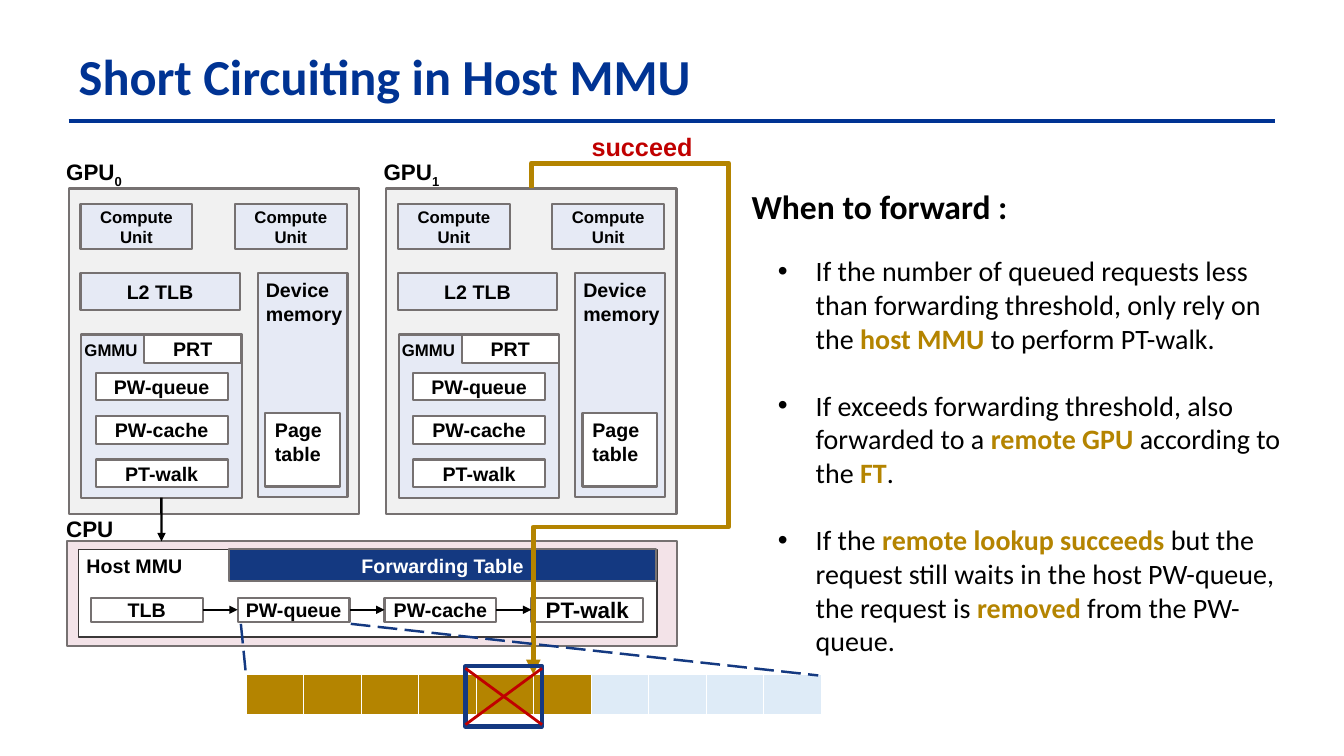
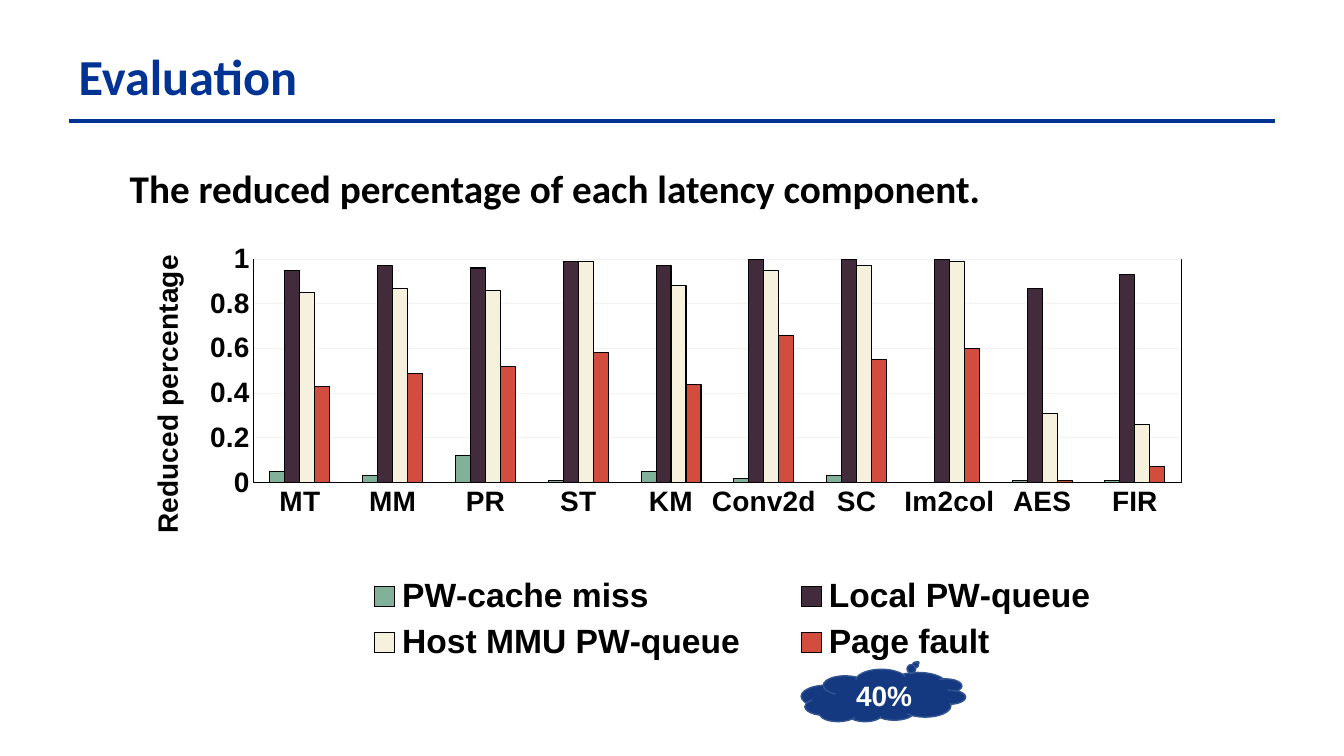
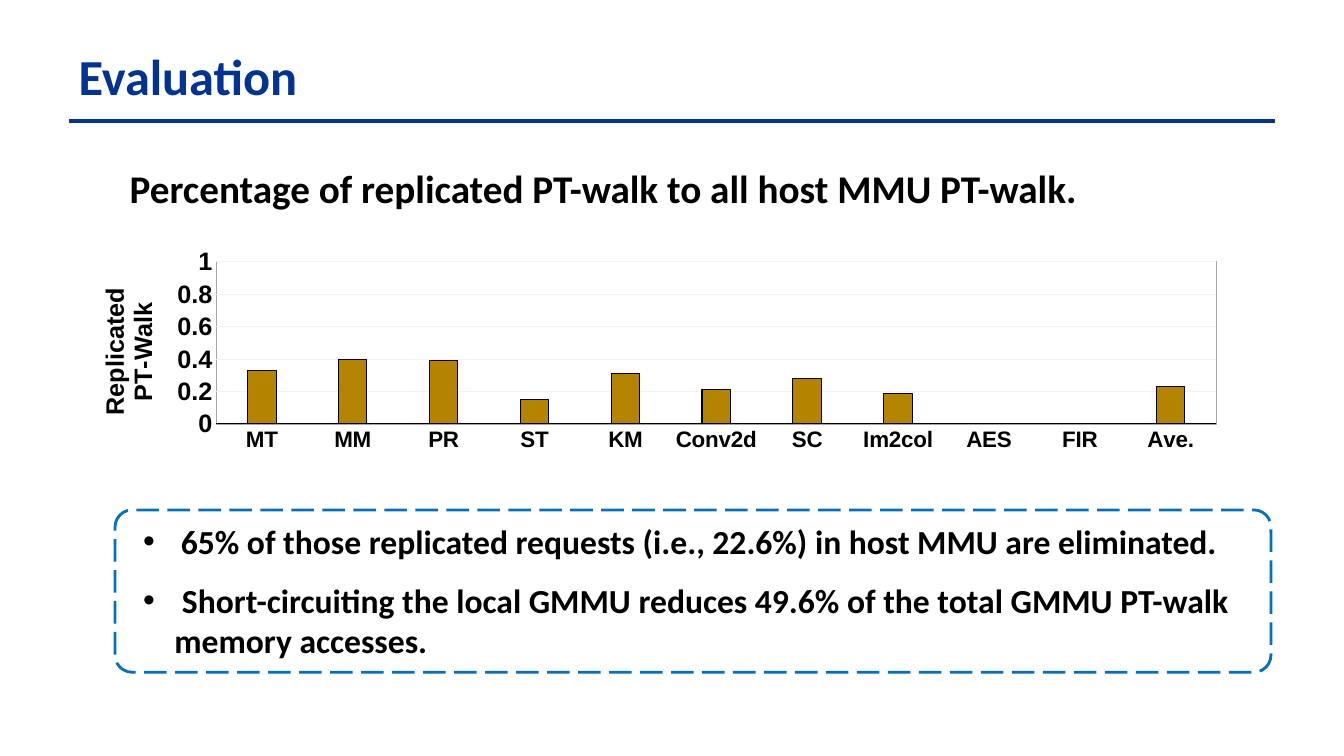
from lxml import etree
from pptx import Presentation
from pptx.chart.data import CategoryChartData
from pptx.dml.color import RGBColor
from pptx.enum.chart import XL_CHART_TYPE, XL_LEGEND_POSITION, XL_TICK_MARK
from pptx.enum.dml import MSO_LINE
from pptx.enum.shapes import MSO_CONNECTOR, MSO_SHAPE
from pptx.enum.text import MSO_ANCHOR, MSO_AUTO_SIZE, PP_ALIGN
from pptx.oxml.ns import qn
from pptx.util import Cm, Pt

RECT, ROUND, CLOUD = MSO_SHAPE.RECTANGLE, MSO_SHAPE.ROUNDED_RECTANGLE, MSO_SHAPE.CLOUD_CALLOUT
STRAIGHT, LONG_DASH = MSO_CONNECTOR.STRAIGHT, MSO_LINE.LONG_DASH
LEFT, CENTER = PP_ALIGN.LEFT, PP_ALIGN.CENTER
TOP, MIDDLE = MSO_ANCHOR.TOP, MSO_ANCHOR.MIDDLE
NO_TICK = XL_TICK_MARK.NONE
COLUMNS, BOTTOM = XL_CHART_TYPE.COLUMN_CLUSTERED, XL_LEGEND_POSITION.BOTTOM
TITLE_AND_BODY, TITLE_ONLY = 1, 5
SIDE_TOP, SIDE_LEFT, SIDE_BOTTOM, SIDE_RIGHT = range(4)

BLACK = RGBColor(0x00, 0x00, 0x00)
WHITE = RGBColor(0xFF, 0xFF, 0xFF)
TITLE_BLUE = RGBColor(0x00, 0x33, 0x93)
NAVY = RGBColor(0x14, 0x39, 0x81)
CLOUD_EDGE = RGBColor(0x32, 0x54, 0x91)
FRAME_BLUE = RGBColor(0x00, 0x70, 0xC0)
GOLD = RGBColor(0xB4, 0x84, 0x00)
RED = RGBColor(0xC0, 0x00, 0x00)
EDGE = RGBColor(0x76, 0x71, 0x71)
DARK_EDGE = RGBColor(0x3B, 0x38, 0x38)
GPU_GREY = RGBColor(0xE7, 0xE6, 0xE6)
CPU_PINK = RGBColor(0xED, 0xD4, 0xDC)
UNIT_BLUE = RGBColor(0xE6, 0xEA, 0xF5)
FREE_SLOT = RGBColor(0xDE, 0xEB, 0xF7)
GRID = RGBColor(0xF2, 0xF2, 0xF2)
PLOT_GREY = RGBColor(0xA6, 0xA6, 0xA6)
GREEN = RGBColor(0x82, 0xB1, 0x9B)
PLUM = RGBColor(0x42, 0x2B, 0x3B)
CREAM = RGBColor(0xF6, 0xF1, 0xDD)
CORAL = RGBColor(0xD3, 0x4D, 0x3E)

# Content: lengths in cm; in bullets every second part is emphasised
GPU_STEP = 8
GPU_UNITS = [  # text, place, fill, size, left inset (None: centred)
    ("L2 TLB", (2.03, 6.88, 4.01, 0.94), UNIT_BLUE, 14, None),
    ("GMMU", (2.05, 8.43, 4.04, 4.11), UNIT_BLUE, 12, 0.08),
    ("PRT", (3.64, 8.45, 2.44, 0.69), WHITE, 14, None),
    ("Device memory", (6.5, 6.88, 2.26, 5.64), UNIT_BLUE, 14, 0.2),
    ("Page\ntable", (6.68, 10.41, 1.88, 1.85), WHITE, 14, 0.25),
]
GPU_UNITS += [("Compute Unit", (x, 5.14, 2.82, 1.14), UNIT_BLUE, 12, None)
              for x in (2.03, 5.92)]
GPU_UNITS += [(text, (2.41, 9.4 + 1.09 * i, 3.33, 0.69), WHITE, 14, None)
              for i, text in enumerate(["PW-queue", "PW-cache", "PT-walk"])]
HOST_STAGES = [("TLB", 14), ("PW-queue", 14), ("PW-cache", 14), ("PT-walk", 16)]
QUEUE_SLOTS, QUEUED = 10, 6
RETURN_PATH = [(13.39, 4.75), (13.39, 4.11), (18.36, 4.11),
               (18.36, 13.28), (13.44, 13.28), (13.44, 16.99)]
FORWARD_RULES = [
    ["If the number of queued requests less than forwarding threshold, only rely on the ",
     "host MMU ", "to perform PT-walk."],
    ["If exceeds forwarding threshold, also forwarded to a ", "remote GPU ",
     "according to the ", "FT", "."],
    ["If the ", "remote lookup succeeds",
     " but the request still waits in the host PW-queue, the request is ",
     "removed", " from the PW-queue."],
]
FINDINGS = [
    ["65% of those replicated requests (i.e., 22.6%) in host MMU are eliminated."],
    [" Short-circuiting the local GMMU reduces 49.6% of the total GMMU PT-walk memory accesses."],
]
APPS = ["MT", "MM", "PR", "ST", "KM", "Conv2d", "SC", "Im2col", "AES", "FIR"]
LATENCY = [
    ("PW-cache miss", GREEN, [0.05, 0.03, 0.12, 0.01, 0.05, 0.02, 0.03, 0, 0.01, 0.01]),
    ("Local PW-queue", PLUM, [0.95, 0.97, 0.96, 0.99, 0.97, 1, 1, 1, 0.87, 0.93]),
    ("Host MMU PW-queue", CREAM, [0.85, 0.87, 0.86, 0.99, 0.88, 0.95, 0.97, 0.99, 0.31, 0.26]),
    ("Page fault", CORAL, [0.43, 0.49, 0.52, 0.58, 0.44, 0.66, 0.55, 0.6, 0.01, 0.07]),
]
REPLICATED = [
    ("Series 1", GOLD, [0.33, 0.4, 0.39, 0.15, 0.31, 0.21, 0.28, 0.19, 0, 0, 0.23]),
]


def cms(*values):
    return [Cm(v) for v in values]


def sub(parent, tag, **attrs):
    return etree.SubElement(parent, qn(tag), attrs)


# Text
def set_font(font, size, color=BLACK, name="Arial", bold=True):
    font.name, font.size, font.bold = name, Pt(size), bold
    font.color.rgb = color


def style(tf, size, color=BLACK, name="Arial", align=LEFT):
    for p in tf.paragraphs:
        p.alignment = align
        for r in p.runs:
            set_font(r.font, size, color, name)


def label(slide, text, place, size, color=BLACK, name="Arial", align=LEFT, wrap=True):
    tf = slide.shapes.add_textbox(*cms(*place)).text_frame
    tf.word_wrap = wrap
    tf.text = text
    style(tf, size, color, name, align)
    return tf


def fill_body(slide, place, items, size, gap, bold=False):
    sp = slide.placeholders[1]
    sp.left, sp.top, sp.width, sp.height = cms(*place)
    tf = sp.text_frame
    tf.auto_size = MSO_AUTO_SIZE.NONE
    for i, parts in enumerate(items):
        p = tf.add_paragraph() if i else tf.paragraphs[0]
        p.space_before = Pt(gap if i else 0)
        for j, part in enumerate(parts):
            r = p.add_run()
            r.text = part
            accent = j % 2 == 1
            set_font(r.font, size, GOLD if accent else BLACK, "Calibri", bold or accent)
    return tf


# Shapes and lines
def box(slide, place, fill=None, edge=EDGE, weight=1.5, alpha=None, kind=RECT):
    sp = slide.shapes.add_shape(kind, *cms(*place))
    sp.shadow.inherit = False
    sp.line.color.rgb, sp.line.width = edge, Pt(weight)
    if fill is None:
        sp.fill.background()
    else:
        sp.fill.solid()
        sp.fill.fore_color.rgb = fill
        if alpha:
            color = sp.element.spPr.find(qn("a:solidFill"))[0]
            sub(color, "a:alpha", val=str(alpha * 1000))
    return sp


def unit(slide, text, place, fill=WHITE, size=14, inset=None, color=BLACK, **look):
    sp = box(slide, place, fill, **look)
    tf = sp.text_frame
    tf.word_wrap = True
    tf.text = text
    centred = inset is None
    tf.vertical_anchor = MIDDLE if centred else TOP
    if not centred:
        tf.margin_left, tf.margin_right = cms(inset, 0)
    style(tf, size, color, align=CENTER if centred else LEFT)
    return sp


def add_arrowhead(sp):
    sub(sp.line._get_or_add_ln(), "a:tailEnd", type="triangle")


def line(slide, start, end, color=BLACK, weight=1.75, arrow=False, dash=None):
    cx = slide.shapes.add_connector(STRAIGHT, *cms(*start, *end))
    cx.line.color.rgb, cx.line.width = color, Pt(weight)
    if dash:
        cx.line.dash_style = dash
    if arrow:
        add_arrowhead(cx)
    sub(cx.element.spPr, "a:effectLst")
    return cx


def new_slide(prs, layout, title):
    slide = prs.slides.add_slide(prs.slide_layouts[layout])
    line(slide, (1.73, 3.05), (32.13, 3.05), TITLE_BLUE, 3.25)
    sp = slide.shapes.title
    sp.left, sp.top, sp.width, sp.height = cms(1.73, 1.02, 28.3, 1.8)
    tf = sp.text_frame
    tf.auto_size, tf.vertical_anchor = MSO_AUTO_SIZE.NONE, TOP
    tf.text = title
    style(tf, 36, TITLE_BLUE, "Calibri")
    return slide


# Charts
def manual_layout(parent, index, x, y, w=None, h=None, inner=False):
    old = parent.find(qn("c:layout"))
    if old is not None:
        parent.remove(old)
    layout = etree.Element(qn("c:layout"))
    manual = sub(layout, "c:manualLayout")
    if inner:
        sub(manual, "c:layoutTarget", val="inner")
    for tag in ("c:xMode", "c:yMode"):
        sub(manual, tag, val="edge")
    for tag, value in (("c:x", x), ("c:y", y), ("c:w", w), ("c:h", h)):
        if value is not None:
            sub(manual, tag, val=str(value))
    parent.insert(index, layout)


def column_chart(slide, place, cats, series, plot_at, plot_edge, axis_title, title_at,
                 cat_size, val_size, overlap):
    data = CategoryChartData()
    data.categories = cats
    for name, _, values in series:
        data.add_series(name, values)
    chart = slide.shapes.add_chart(COLUMNS, *cms(*place), data).chart
    set_font(chart.font, 16)
    chart.has_title = chart.has_legend = False

    plot = chart.plots[0]
    plot.gap_width, plot.overlap, plot.vary_by_categories = 219, overlap, False
    for s, (_, color, _) in zip(plot.series, series):
        s.format.fill.solid()
        s.format.fill.fore_color.rgb = color
        s.format.line.color.rgb, s.format.line.width = BLACK, Pt(0.75)

    cat, val = chart.category_axis, chart.value_axis
    for axis, size in ((cat, cat_size), (val, val_size)):
        axis.major_tick_mark = axis.minor_tick_mark = NO_TICK
        set_font(axis.tick_labels.font, size)
    cat.format.line.color.rgb, cat.format.line.width = BLACK, Pt(0.75)
    val.format.line.fill.background()
    val.minimum_scale, val.maximum_scale, val.major_unit = 0, 1, 0.2
    val.tick_labels.number_format = "General"
    val.tick_labels.number_format_is_linked = False
    grid = val.major_gridlines.format.line
    grid.color.rgb, grid.width = GRID, Pt(0.75)

    tf = val.axis_title.text_frame
    tf.text = axis_title
    style(tf, val_size, align=CENTER)
    body = tf._txBody.find(qn("a:bodyPr"))
    body.set("rot", "-5400000")
    body.set("vert", "horz")
    manual_layout(val.axis_title._element, 1, *title_at)

    # Plot area place and frame
    area = chart._chartSpace.chart.plotArea
    manual_layout(area, 0, *plot_at, inner=True)
    ln = sub(sub(area, "c:spPr"), "a:ln", w=str(Pt(0.75)))
    sub(sub(ln, "a:solidFill"), "a:srgbClr", val=str(plot_edge))
    return chart


# Slide 1 parts
def draw_gpu(slide, number):
    dx = GPU_STEP * number
    box(slide, (1.73 + dx, 4.75, 7.32, 8.2), GPU_GREY, alpha=55)
    tf = label(slide, "GPU", (1.42 + dx, 3.86, 4.57, 0.94), 16)
    r = tf.paragraphs[0].add_run()
    r.text = str(number)
    set_font(r.font, 16)
    r.font._element.set("baseline", "-25000")
    return {text: unit(slide, text, (x + dx, y, w, h), fill, size, inset)
            for text, (x, y, w, h), fill, size, inset in GPU_UNITS}


def draw_host(slide):
    box(slide, (1.7, 13.64, 15.37, 2.64), CPU_PINK, alpha=65)
    label(slide, "CPU", (1.42, 12.85, 1.73, 0.94), 16)
    unit(slide, "Host MMU", (1.98, 13.84, 14.58, 2.21), inset=0.2, edge=DARK_EDGE, weight=1)
    unit(slide, "Forwarding Table", (5.77, 13.84, 10.77, 0.81), NAVY, color=WHITE)
    stages = []
    for i, (text, size) in enumerate(HOST_STAGES):
        sp = unit(slide, text, (2.29 + 3.7 * i, 15.06, 2.82, 0.61), size=size)
        tf = sp.text_frame
        tf.margin_left = tf.margin_right = tf.margin_top = tf.margin_bottom = 0
        stages.append(sp)
    for a, b in zip(stages, stages[1:]):
        cx = line(slide, (0, 0), (1, 1), arrow=True)
        cx.begin_connect(a, SIDE_RIGHT)
        cx.end_connect(b, SIDE_LEFT)


def draw_return_path(slide):
    points = [cms(*point) for point in RETURN_PATH]
    builder = slide.shapes.build_freeform(*points[0])
    builder.add_line_segments(points[1:], close=False)
    sp = builder.convert_to_shape()
    sp.shadow.inherit = False
    sp.fill.background()
    sp.line.color.rgb, sp.line.width = GOLD, Pt(3.5)
    add_arrowhead(sp)
    label(slide, "succeed", (14.66, 3.18, 3.07, 1.02), 18, RED, wrap=False)


def draw_queue(slide):
    frame = slide.shapes.add_table(1, QUEUE_SLOTS, *cms(6.2, 16.99, 14.5, 1.02))
    for i, cell in enumerate(frame.table.iter_cells()):
        cell.fill.solid()
        cell.fill.fore_color.rgb = GOLD if i < QUEUED else FREE_SLOT
    for start, end in (((6.07, 15.72), (6.2, 17.02)), ((8.84, 15.72), (20.62, 17.02))):
        line(slide, start, end, NAVY, dash=LONG_DASH)
    # Removed request
    box(slide, (11.73, 16.79, 1.93, 1.52), edge=NAVY, weight=3)
    for x1, x2 in ((11.73, 13.66), (13.66, 11.73)):
        line(slide, (x1, 16.84), (x2, 18.26), RED, 2)


def host_mmu_slide(prs):
    slide = new_slide(prs, TITLE_AND_BODY, "Short Circuiting in Host MMU")
    gmmu = draw_gpu(slide, 0)["GMMU"]
    draw_gpu(slide, 1)
    draw_host(slide)
    cx = line(slide, (4.07, 12.54), (4.07, 13.64), arrow=True)
    cx.begin_connect(gmmu, SIDE_BOTTOM)
    tf = label(slide, "When to forward :", (18.69, 4.04, 10.9, 1.63), 24, name="Calibri")
    tf.paragraphs[0].line_spacing = 1.5
    draw_return_path(slide)
    fill_body(slide, (19.35, 6.27, 13.49, 10.52), FORWARD_RULES, 20, 24)
    draw_queue(slide)


def latency_slide(prs):
    slide = new_slide(prs, TITLE_ONLY, "Evaluation")
    chart = column_chart(slide, (1.52, 5.66, 30.25, 11.43), APPS, LATENCY,
                         (0.161, 0.076, 0.773, 0.493), BLACK,
                         "Reduced percentage", (0.07, 0.056), 20, 20, 0)
    chart.has_legend = True
    legend = chart.legend
    legend.position, legend.include_in_layout = BOTTOM, False
    set_font(legend.font, 24)
    manual_layout(legend._element, 1, 0.22, 0.76, 0.68, 0.22)
    label(slide, "The reduced percentage of each latency component.",
          (3.02, 4.01, 23.27, 1.45), 28, name="Calibri")
    cloud = box(slide, (20.19, 16.87, 4.14, 1.32), NAVY, CLOUD_EDGE, 1, kind=CLOUD)
    cloud.rotation = 180
    label(slide, "40%", (18.62, 16.97, 7.32, 1.12), 20, WHITE, align=CENTER)


def replicated_slide(prs):
    slide = new_slide(prs, TITLE_AND_BODY, "Evaluation")
    label(slide, "Percentage of replicated PT-walk to all host MMU PT-walk.",
          (3.02, 4.01, 28.02, 1.45), 28, name="Calibri")
    column_chart(slide, (0.89, 5.77, 30.43, 8.84), APPS + ["Ave."], REPLICATED,
                 (0.15, 0.094, 0.828, 0.462), PLOT_GREY,
                 "Replicated\nPT-Walk", (0.05, 0.16), 16, 18, -27)
    tf = fill_body(slide, (3.35, 13, 29.72, 3.81), FINDINGS, 24, 13, bold=True)
    pPr = tf.paragraphs[1]._p.get_or_add_pPr()
    pPr.set("marL", str(Cm(0.79)))
    pPr.set("indent", str(-Cm(0.79)))
    sp = box(slide, (2.9, 12.85, 29.13, 4.09), edge=FRAME_BLUE, weight=2, kind=ROUND)
    sp.adjustments[0] = 0.105
    sp.line.dash_style = LONG_DASH


def main():
    prs = Presentation()
    prs.slide_width, prs.slide_height = cms(33.87, 19.05)
    host_mmu_slide(prs)
    latency_slide(prs)
    replicated_slide(prs)
    prs.save("out.pptx")


if __name__ == "__main__":
    main()
